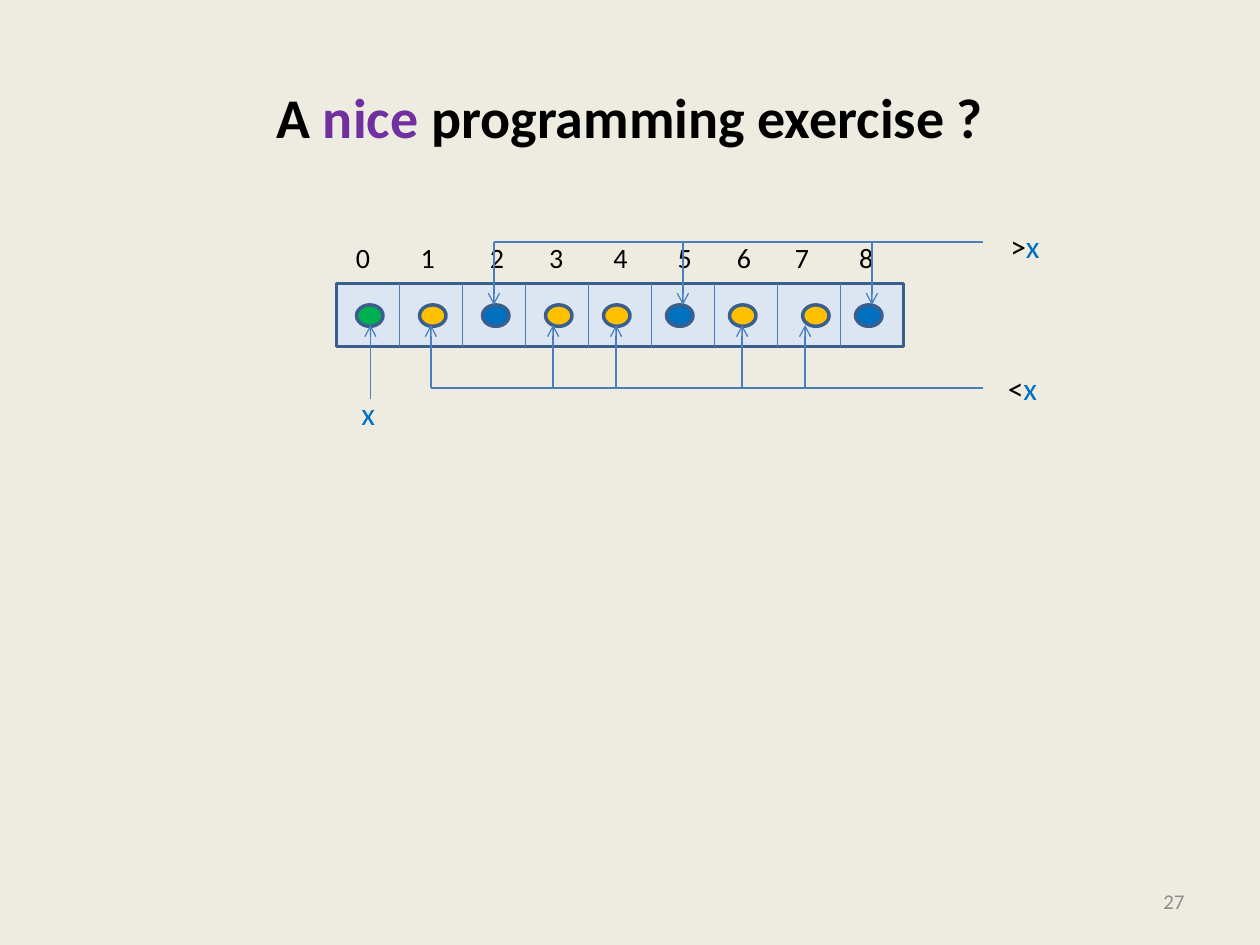
from dataclasses import dataclass

from lxml import etree
from pptx import Presentation
from pptx.dml.color import RGBColor
from pptx.enum.shapes import MSO_CONNECTOR, MSO_SHAPE
from pptx.enum.text import MSO_ANCHOR, PP_ALIGN
from pptx.oxml.ns import qn
from pptx.util import Inches, Pt

STRAIGHT = MSO_CONNECTOR.STRAIGHT
RECTANGLE, OVAL = MSO_SHAPE.RECTANGLE, MSO_SHAPE.OVAL
MIDDLE, TOP = MSO_ANCHOR.MIDDLE, MSO_ANCHOR.TOP
LEFT, CENTER, RIGHT = PP_ALIGN.LEFT, PP_ALIGN.CENTER, PP_ALIGN.RIGHT


@dataclass(frozen=True)
class Theme:
    font: str = "Calibri"
    background: str = "EEECE1"
    ink: str = "000000"
    accent: str = "7030A0"
    muted: str = "8C8C8C"
    array: str = "DCE6F2"
    outline: str = "3A5F8C"
    connector: str = "4B7EBC"
    pivot: str = "00B050"
    smaller: str = "FFC000"
    larger: str = "0070C0"
    title_size: int = 32
    label_size: int = 18
    index_size: int = 16
    number_size: int = 12
    outline_width: float = 2
    connector_width: float = 0.75


THEME = Theme()
ARRAY_LEFT, ARRAY_TOP, CELL, CELLS = 2.67, 2.25, 0.5, 9
DOT_TOP, DOT_WIDTH, DOT_HEIGHT = 2.42, 0.21, 0.17
DOT_BOTTOM = 2.58
BRANCH_END = 7.8
DOTS = [
    (2.83, THEME.pivot),
    (3.33, THEME.smaller),
    (3.83, THEME.larger),
    (4.33, THEME.smaller),
    (4.79, THEME.smaller),
    (5.29, THEME.larger),
    (5.79, THEME.smaller),
    (6.37, THEME.smaller),
    (6.79, THEME.larger),
]
INDEX_TABS = [0.57, 1.12, 1.59, 2.1, 2.61, 3.08, 3.54, 4.05]


def rgb(color):
    return RGBColor.from_string(color)


def add_runs(paragraph, runs, bold=False):
    for wording, size, color in runs:
        run = paragraph.add_run()
        run.text = wording
        run.font.name = THEME.font
        run.font.size = Pt(size)
        run.font.bold = bold
        run.font.color.rgb = rgb(color)


def add_label(slide, left, top, width, runs, align=LEFT, anchor=TOP):
    frame = slide.shapes.add_textbox(
        Inches(left), Inches(top), Inches(width), Inches(0.4)).text_frame
    frame.word_wrap = True
    frame.vertical_anchor = anchor
    paragraph = frame.paragraphs[0]
    paragraph.alignment = align
    add_runs(paragraph, runs)
    return paragraph


def add_outlined(slide, preset, left, top, width, height, fill):
    outlined = slide.shapes.add_shape(
        preset, Inches(left), Inches(top), Inches(width), Inches(height))
    outlined.shadow.inherit = False
    outlined.fill.solid()
    outlined.fill.fore_color.rgb = rgb(fill)
    outlined.line.color.rgb = rgb(THEME.outline)
    outlined.line.width = Pt(THEME.outline_width)


def add_line(slide, start, end, arrow=False):
    connector = slide.shapes.add_connector(
        STRAIGHT, *(Inches(length) for length in (*start, *end)))
    connector.line.color.rgb = rgb(THEME.connector)
    connector.line.width = Pt(THEME.connector_width)
    properties = connector.element.spPr
    if arrow:
        etree.SubElement(properties.find(qn("a:ln")), qn("a:tailEnd"), type="arrow")
    etree.SubElement(properties, qn("a:effectLst"))


def add_title(slide):
    title = slide.shapes.title
    title.left, title.top = Inches(0.5), Inches(0.3)
    title.width, title.height = Inches(9), Inches(1.25)
    title.text_frame.vertical_anchor = MIDDLE
    paragraph = title.text_frame.paragraphs[0]
    paragraph.alignment = CENTER
    size = THEME.title_size
    add_runs(paragraph, [("A ", size, THEME.ink), ("nice", size, THEME.accent),
                         (" programming exercise ?", size, THEME.ink)], bold=True)


def add_array(slide):
    add_outlined(slide, RECTANGLE, ARRAY_LEFT, ARRAY_TOP, CELLS * CELL, CELL, THEME.array)
    for cell in range(1, CELLS):
        divider = ARRAY_LEFT + cell * CELL
        add_line(slide, (divider, ARRAY_TOP), (divider, ARRAY_TOP + CELL))
    for left, color in DOTS:
        add_outlined(slide, OVAL, left, DOT_TOP, DOT_WIDTH, DOT_HEIGHT, color)


def add_indices(slide):
    indices = "\t".join(str(cell) for cell in range(CELLS))
    paragraph = add_label(slide, ARRAY_LEFT, 1.83, 4.44,
                          [(" ", THEME.label_size, THEME.ink),
                           (indices, THEME.index_size, THEME.ink)])
    stops = etree.SubElement(paragraph._p.get_or_add_pPr(), qn("a:tabLst"))
    for position in INDEX_TABS:
        etree.SubElement(stops, qn("a:tab"), pos=str(Inches(position)), algn="l")


def add_branch(slide, level, target, arrows, sign, label_left, label_top):
    add_line(slide, (arrows[0], level), (BRANCH_END, level))
    for across in arrows:
        add_line(slide, (across, level), (across, target), arrow=True)
    add_label(slide, label_left, label_top, 0.44,
              [(sign, THEME.label_size, THEME.ink), ("x", THEME.label_size, THEME.larger)])


def main():
    deck = Presentation()
    deck.slide_width, deck.slide_height = Inches(10), Inches(7.5)
    slide = deck.slides.add_slide(deck.slide_layouts[5])
    slide.background.fill.solid()
    slide.background.fill.fore_color.rgb = rgb(THEME.background)

    add_title(slide)
    add_array(slide)
    add_indices(slide)
    add_line(slide, (2.94, 3.17), (2.94, DOT_BOTTOM), arrow=True)
    add_label(slide, 2.77, 3.08, 0.31, [("x", THEME.label_size, THEME.larger)])
    add_branch(slide, 3.08, DOT_BOTTOM, [3.42, 4.39, 4.89, 5.89, 6.39], "<", 7.9, 2.88)
    add_branch(slide, 1.92, DOT_TOP, [3.92, 5.42, 6.92], ">", 7.92, 1.75)
    add_label(slide, 7.17, 6.95, 2.33, [("27", THEME.number_size, THEME.muted)],
              RIGHT, MIDDLE)
    deck.save("out.pptx")


if __name__ == "__main__":
    main()
